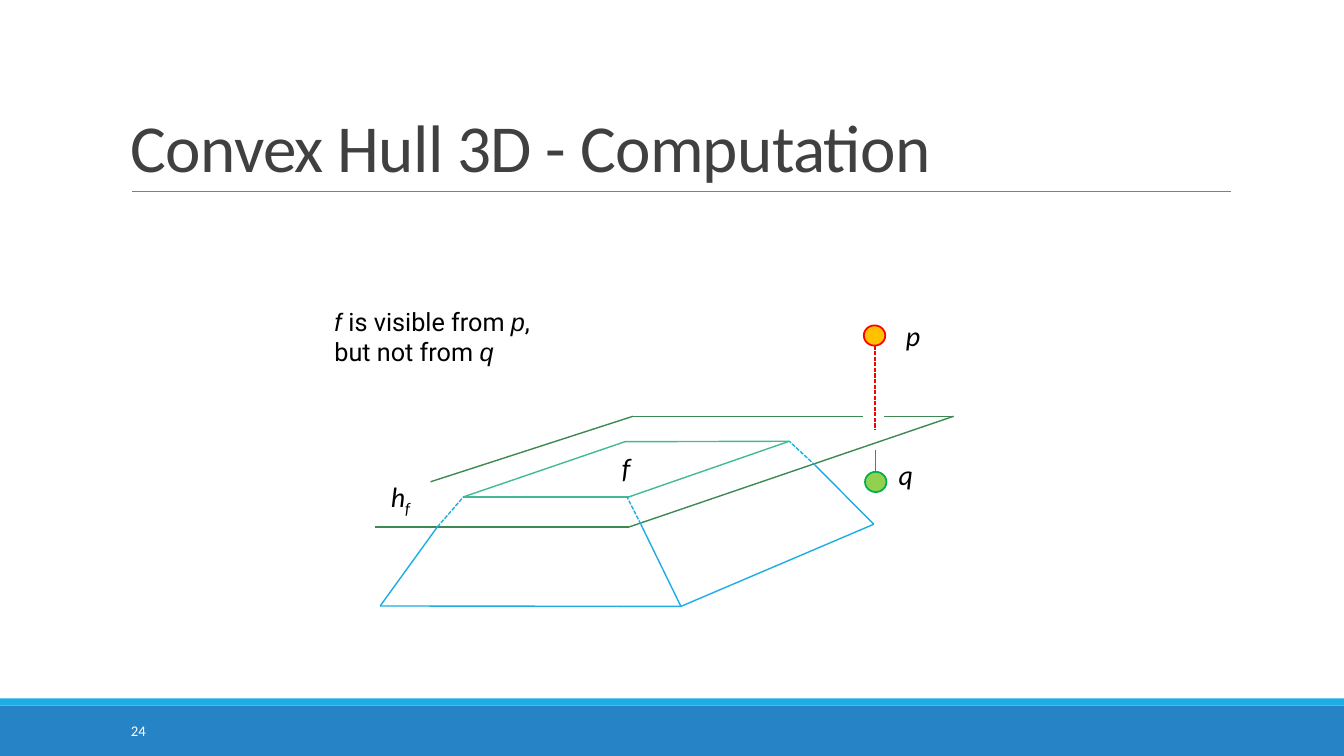
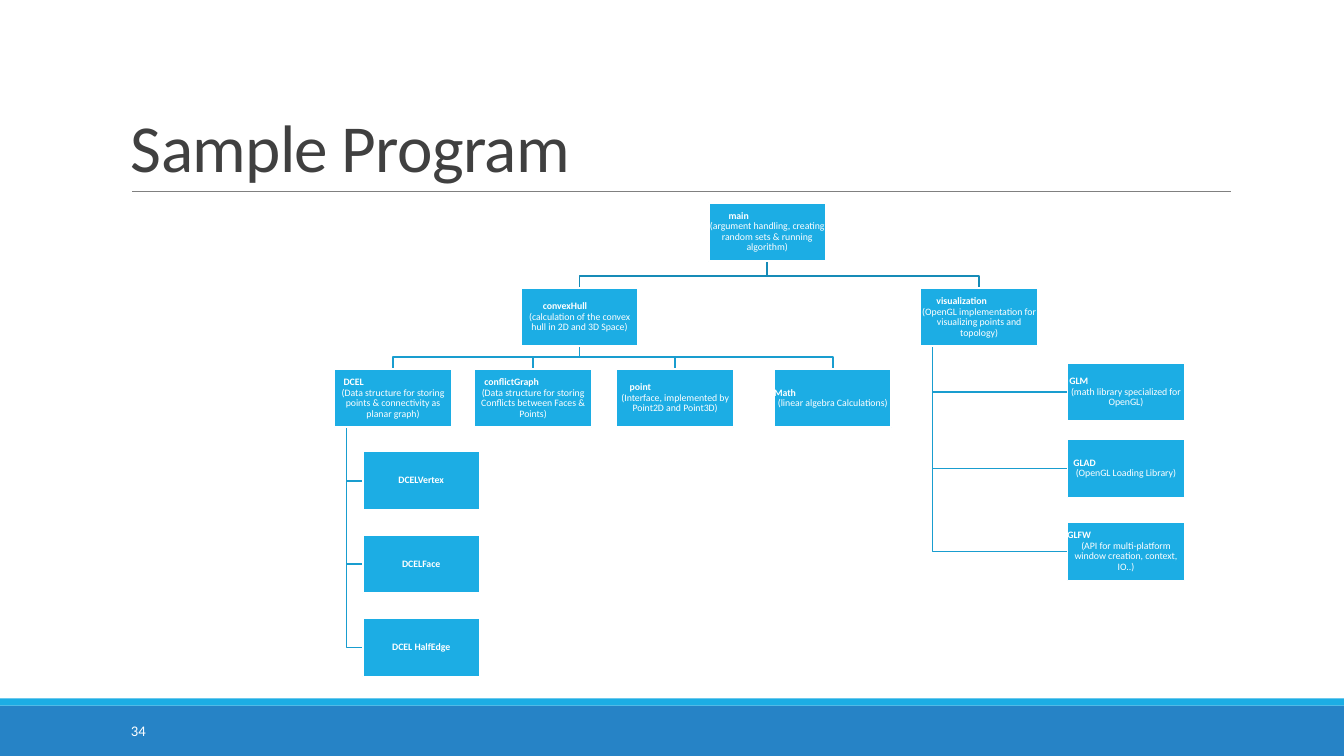
import itertools
from dataclasses import dataclass

import pptx
import pptx.dml.color
import pptx.enum.dml
import pptx.enum.shapes
import pptx.enum.text
import pptx.oxml.ns
import pptx.util
from lxml import etree

Cm = pptx.util.Cm
Pt = pptx.util.Pt
SHAPES = pptx.enum.shapes.MSO_SHAPE
ANCHOR = pptx.enum.text.MSO_ANCHOR
ALIGN = pptx.enum.text.PP_ALIGN

SLIDE_WIDTH, SLIDE_HEIGHT = 33.87, 19.05
BLUE, DARK_BLUE = "1CADE4", "2683C6"
FORK_BLUE, BRANCH_BLUE = "168BB7", "199DCF"
PLANE_GREEN, FACE_GREEN = "3E8853", "42BA97"
RED, ORANGE = "FF0000", "FFC000"
GREEN, LIME = "00B050", "92D050"
BLACK, WHITE, GREY, TITLE_GREY = "000000", "FFFFFF", "808080", "404040"

BOX_WIDTH, BOX_HEIGHT = 2.95, 1.47
BEND = 0.3


@dataclass
class Node:
    """A box of the program tree; indent shifts its name from the left edge."""
    left: float
    top: float
    name: str
    description: str = ""
    indent: float = 0

    @property
    def centre(self):
        return self.left + BOX_WIDTH / 2

    @property
    def middle(self):
        return self.top + BOX_HEIGHT / 2

    @property
    def bottom(self):
        return self.top + BOX_HEIGHT


def rgb(colour):
    return pptx.dml.color.RGBColor.from_string(colour)


def set_line(line, colour, width, dashed=False):
    line.color.rgb = rgb(colour)
    line.width = Pt(width)
    if dashed:
        line.dash_style = pptx.enum.dml.MSO_LINE.SQUARE_DOT


def set_font(font, size, colour, name="Calibri", italic=None, bold=None):
    font.name = name
    font.size = Pt(size)
    font.color.rgb = rgb(colour)
    font.italic = italic
    font.bold = bold


def add_shape(page, kind, at, fill, line=None, line_width=1.25):
    shape = page.shapes.add_shape(kind, *map(Cm, at))
    shape.shadow.inherit = False
    shape.fill.solid()
    shape.fill.fore_color.rgb = rgb(fill)
    if line:
        set_line(shape.line, line, line_width)
    else:
        shape.line.fill.background()
    return shape


def add_textbox(page, at, anchor=ANCHOR.TOP, wrap=True):
    frame = page.shapes.add_textbox(*map(Cm, at)).text_frame
    frame.word_wrap = wrap
    frame.vertical_anchor = anchor
    return frame


def add_lines(page, points, colour, width=1, dashed=False):
    """Join the points, in order, with straight lines."""
    for start, end in itertools.pairwise(points):
        line = page.shapes.add_connector(
            pptx.enum.shapes.MSO_CONNECTOR.STRAIGHT, *map(Cm, start + end))
        set_line(line.line, colour, width, dashed)
        etree.SubElement(line.element.spPr, pptx.oxml.ns.qn("a:effectLst"))


def add_elbow(page, points, colour):
    """Draw one bent open line through the points."""
    start, *rest = [(Cm(x), Cm(y)) for x, y in points]
    builder = page.shapes.build_freeform(*start)
    builder.add_line_segments(rest, close=False)
    elbow = builder.convert_to_shape()
    elbow.shadow.inherit = False
    elbow.fill.background()
    set_line(elbow.line, colour, 1.25)


def add_page(deck, title, number):
    """Add a slide with the shared bands, title, rule and page number."""
    page = deck.slides.add_slide(deck.slide_layouts[6])
    add_shape(page, SHAPES.RECTANGLE, (0, 17.78, SLIDE_WIDTH, 1.27), DARK_BLUE)
    add_shape(page, SHAPES.RECTANGLE, (0, 17.6, SLIDE_WIDTH, 0.18), BLUE)
    add_lines(page, [(3.33, 4.82), (31.01, 4.82)], GREY, 0.5)

    heading = add_textbox(page, (3.05, 0.79, 27.94, 4.04), ANCHOR.BOTTOM)
    para = heading.paragraphs[0]
    para.line_spacing = 0.85
    span = para.add_run()
    span.text = title
    set_font(para.font, 48, TITLE_GREY)
    span.font._element.set("spc", "-50")

    footer = add_textbox(page, (3.05, 17.91, 3.63, 1.02), ANCHOR.MIDDLE)
    footer.text = str(number)
    set_font(footer.paragraphs[0].font, 10.5, WHITE)
    return page


def add_label(page, at, text, subscript=""):
    para = add_textbox(page, at, wrap=False).paragraphs[0]
    para.add_run().text = text
    if subscript:
        span = para.add_run()
        span.text = subscript
        span.font._element.set("baseline", "-25000")
    set_font(para.font, 20, BLACK, italic=True)


def add_caption(page, at, lines):
    """Write lines of (text, is_symbol) spans; symbols are italic Arial."""
    frame = add_textbox(page, at)
    for index, spans in enumerate(lines):
        para = frame.add_paragraph() if index else frame.paragraphs[0]
        for text, is_symbol in spans:
            span = para.add_run()
            span.text = text
            set_font(span.font, 18, BLACK,
                     "Arial" if is_symbol else "Roboto", is_symbol)


def add_node(page, node):
    box = add_shape(page, SHAPES.RECTANGLE,
                    (node.left, node.top, BOX_WIDTH, BOX_HEIGHT), BLUE, WHITE)
    frame = box.text_frame
    frame.word_wrap = True
    frame.vertical_anchor = ANCHOR.MIDDLE
    frame.margin_left = frame.margin_right = 0
    frame.margin_top = frame.margin_bottom = 0
    texts = [text for text in (node.name, node.description) if text]
    frame.text = "\n".join(texts)
    for para in frame.paragraphs:
        para.alignment = ALIGN.CENTER
        para.line_spacing = 0.9
        set_font(para.font, 7, WHITE, bold=False)
    name = frame.paragraphs[0]
    name.font.bold = True
    if node.description:
        name.alignment = ALIGN.LEFT
        name._p.get_or_add_pPr().set("marL", str(Cm(node.indent)))


def fork(page, parent, children, colour):
    """Link a parent to the children in the row below it."""
    for child in children:
        bend = child.top - BEND
        add_elbow(page, [(parent.centre, parent.bottom), (parent.centre, bend),
                         (child.centre, bend), (child.centre, child.top)], colour)


def hang(page, parent, children, colour):
    """Link a parent to children stacked to the right of its left edge."""
    stem = parent.left + BEND
    for child in children:
        add_elbow(page, [(stem, parent.bottom), (stem, child.middle),
                         (child.left, child.middle)], colour)


def draw_visibility(page):
    add_caption(page, (8.18, 7.59, 16.94, 1.8), [
        [("f ", True), ("is visible from ", False), ("p", True), (",", False)],
        [("but not from ", False), ("q", True)],
    ])

    # Plane through the top face, open where the line of sight passes
    add_lines(page, [(10.85, 12.14), (15.95, 10.49), (21.74, 10.49)], PLANE_GREEN)
    add_lines(page, [(22.28, 10.49), (24.03, 10.49), (15.85, 13.28),
                     (9.45, 13.28)], PLANE_GREEN)

    back_right = (19.89, 11.12)
    front_left, front_right = (11.68, 12.52), (15.85, 12.52)
    add_lines(page, [front_left, (15.75, 11.13), back_right, front_right,
                     front_left], FACE_GREEN)

    # Sides of the hull, dashed between the face and the plane
    left, middle, right = (11.02, 13.28), (16.15, 13.21), (20.55, 11.73)
    corner = (17.16, 15.28)
    add_lines(page, [left, (9.58, 15.27), corner, (22.02, 13.21), right], BLUE)
    add_lines(page, [corner, middle], BLUE)
    for edge in ((left, front_left), (right, back_right), (middle, (15.8, 12.52))):
        add_lines(page, edge, BLUE, dashed=True)

    add_shape(page, SHAPES.OVAL, (21.77, 8.2, 0.54, 0.51), ORANGE, RED)
    add_shape(page, SHAPES.OVAL, (21.8, 11.89, 0.54, 0.51), LIME, GREEN)
    add_lines(page, [(22.05, 8.71), (22.05, 10.82)], RED, dashed=True)
    add_lines(page, [(22.07, 11.89), (22.07, 11.33)], GREEN)

    add_label(page, (22.58, 7.9, 0.89, 1.12), "p")
    add_label(page, (22.4, 11.4, 0.89, 1.12), "q")
    add_label(page, (15.42, 11.23, 0.74, 1.12), "f")
    add_label(page, (9.6, 11.96, 1.02, 1.12), "h", "f")


def draw_program_tree(page):
    root = Node(17.86, 5.11, "main", "(argument handling, creating random sets "
                "& running algorithm)", 0.5)
    hull = Node(13.13, 7.26, "convexHull",
                "(calculation of the convex hull in 2D and 3D Space)", 0.55)
    visual = Node(23.2, 7.26, "visualization", "(OpenGL implementation for "
                  "visualizing points and topology)", 0.4)
    parts = [Node(left, 9.3, *texts) for left, *texts in (
        (8.43, "DCEL", "(Data structure for storing points & connectivity "
         "as planar graph)", 0.23),
        (11.96, "conflictGraph", "(Data structure for storing Conflicts "
         "between Faces & Points)", 0.25),
        (15.54, "point", "(Interface, implemented by Point2D and Point3D)", 0.33),
        (19.51, "Math", "(linear algebra Calculations)"),
    )]
    elements = [Node(9.14, 11.38 + 2.1 * row, name) for row, name in
                enumerate(("DCELVertex", "DCELFace", "DCEL HalfEdge"))]
    libraries = [Node(26.9, top, *texts) for top, *texts in (
        (9.14, "GLM", "(math library specialized for OpenGL)", 0.05),
        (11.07, "GLAD", "(OpenGL Loading Library)", 0.15),
        (13.16, "GLFW", "(API for multi-platform window creation, context, IO..)"),
    )]

    hang(page, visual, libraries, BRANCH_BLUE)
    hang(page, parts[0], elements, BRANCH_BLUE)
    fork(page, hull, parts, BRANCH_BLUE)
    fork(page, root, (hull, visual), FORK_BLUE)
    for node in (root, hull, visual, *parts, *elements, *libraries):
        add_node(page, node)


def main():
    deck = pptx.Presentation()
    deck.slide_width, deck.slide_height = Cm(SLIDE_WIDTH), Cm(SLIDE_HEIGHT)
    draw_visibility(add_page(deck, "Convex Hull 3D - Computation", 24))
    draw_program_tree(add_page(deck, "Sample Program", 34))
    deck.save("out.pptx")


if __name__ == "__main__":
    main()
